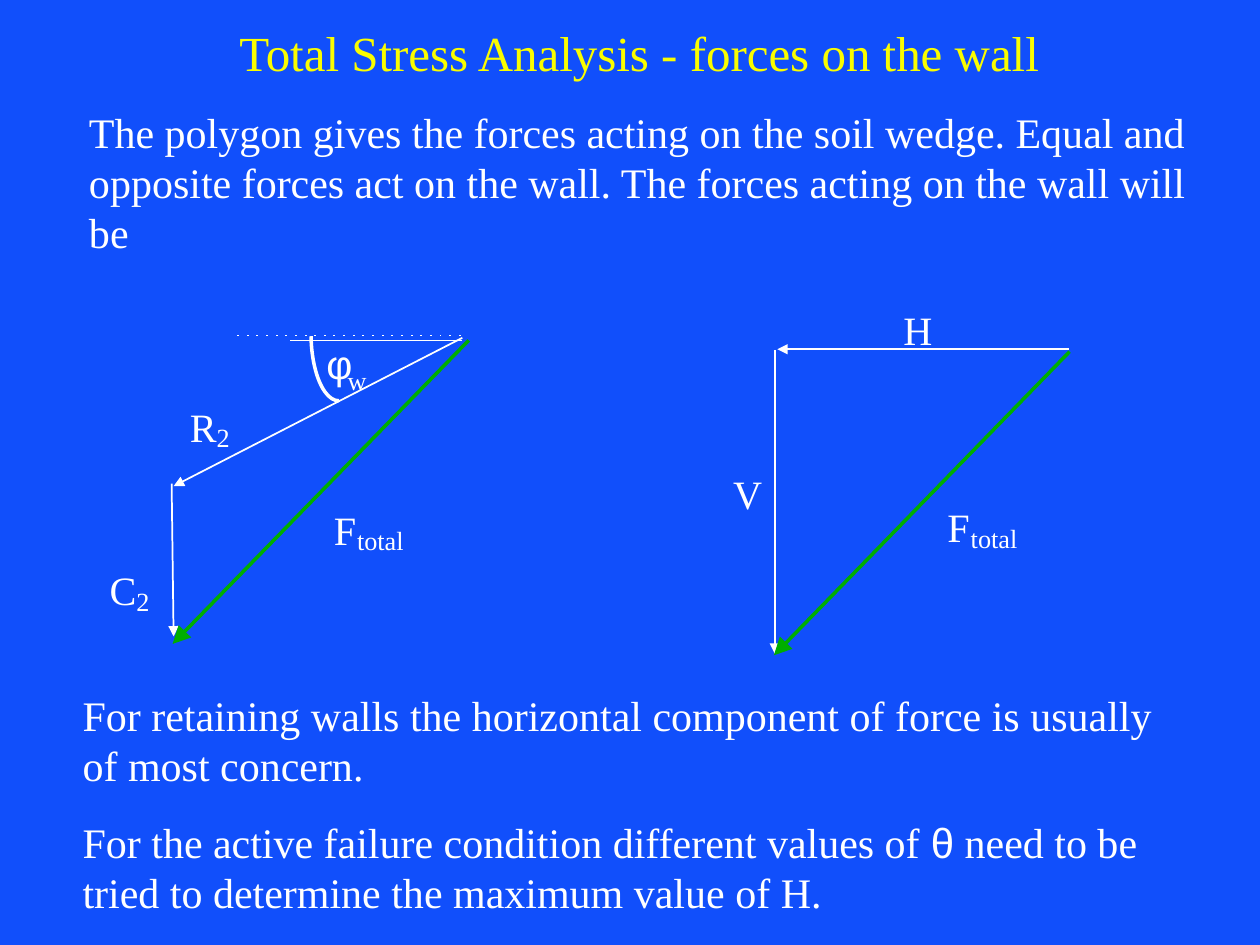
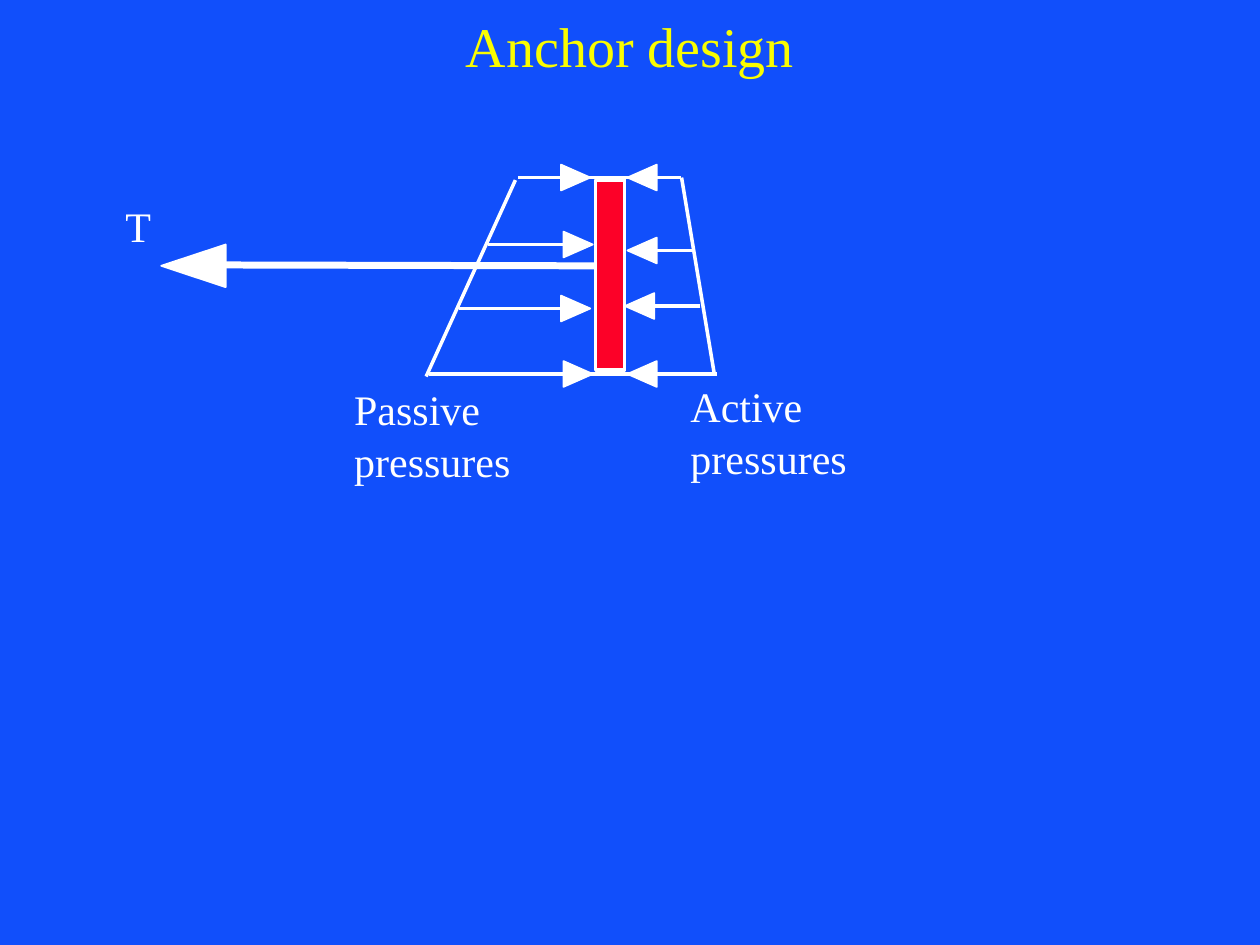
from dataclasses import dataclass

from lxml import etree
from pptx import Presentation
from pptx.dml.color import RGBColor
from pptx.enum.shapes import MSO_CONNECTOR, MSO_SHAPE
from pptx.enum.text import MSO_ANCHOR, MSO_AUTO_SIZE, PP_ALIGN
from pptx.oxml.ns import qn
from pptx.util import Cm, Pt

STRAIGHT = MSO_CONNECTOR.STRAIGHT
RECTANGLE = MSO_SHAPE.RECTANGLE
ARC = MSO_SHAPE.ARC
CENTER = PP_ALIGN.CENTER
LEFT = PP_ALIGN.LEFT
TOP = MSO_ANCHOR.TOP
MIDDLE = MSO_ANCHOR.MIDDLE
NO_AUTOFIT = MSO_AUTO_SIZE.NONE
TWO_CONTENT, TITLE_ONLY = 3, 5
ARC_UNITS_PER_DEGREE = 0.6


@dataclass(frozen=True)
class Theme:
    background: RGBColor = RGBColor(0x11, 0x4F, 0xFB)
    heading: RGBColor = RGBColor(0xFA, 0xFD, 0x00)
    ink: RGBColor = RGBColor(0xFF, 0xFF, 0xFF)
    resultant: RGBColor = RGBColor(0x00, 0xAE, 0x00)
    wall: RGBColor = RGBColor(0xFC, 0x01, 0x28)
    font: str = "Times New Roman"
    greek_font: str = "Arial"
    long_title: int = 28
    title: int = 32
    body: int = 24
    symbol: int = 23
    subscript: int = 15
    paragraph_gap: int = 15


@dataclass(frozen=True)
class Box:
    left: float
    top: float
    width: float = 0
    height: float = 0

    def point(self, x, y):
        return Cm(self.left + x), Cm(self.top + y)

    def frame(self):
        return {"left": Cm(self.left), "top": Cm(self.top),
                "width": Cm(self.width), "height": Cm(self.height)}


THEME = Theme()


def apply(target, formats):
    for name, value in formats.items():
        setattr(target, name, value)


def style_font(font, size, color=THEME.ink, name=THEME.font):
    apply(font, {"size": Pt(size), "name": name, "bold": False})
    font.color.rgb = color


def add_title(slide, box, text, size, anchor):
    title = slide.shapes.title
    apply(title, box.frame())
    apply(title.text_frame, {"text": text, "vertical_anchor": anchor,
                             "word_wrap": True, "auto_size": NO_AUTOFIT})
    paragraph = title.text_frame.paragraphs[0]
    paragraph.alignment = CENTER
    style_font(paragraph.runs[0].font, size, THEME.heading)


def add_body(placeholder, box, paragraphs):
    apply(placeholder, box.frame())
    frame = placeholder.text_frame
    apply(frame, {"vertical_anchor": TOP, "word_wrap": True, "auto_size": NO_AUTOFIT})
    for index, runs in enumerate(paragraphs):
        paragraph = frame.add_paragraph() if index else frame.paragraphs[0]
        properties = paragraph._p.get_or_add_pPr()
        properties.set("marL", "0")
        properties.set("indent", "0")
        etree.SubElement(properties, qn("a:buNone"))
        apply(paragraph, {"alignment": LEFT,
                          "space_before": Pt(THEME.paragraph_gap if index else 0)})
        for text, font_name in runs:
            run = paragraph.add_run()
            run.text = text
            style_font(run.font, THEME.body, name=font_name)


def add_label(slide, box, x, y, width, text, size=THEME.symbol, font_name=THEME.font):
    height = size * 0.0423 + 0.25
    label = slide.shapes.add_textbox(*box.point(x, y), Cm(width), Cm(height))
    apply(label.text_frame, {"text": text, "word_wrap": False})
    style_font(label.text_frame.paragraphs[0].runs[0].font, size, name=font_name)


def add_line(slide, box, start, end, width, color=THEME.ink, arrow=None):
    line = slide.shapes.add_connector(STRAIGHT, *box.point(*start), *box.point(*end))
    line.line.width = Pt(width)
    line.line.color.rgb = color
    if arrow:
        etree.SubElement(line.line._ln, qn("a:tailEnd"), type="triangle", w=arrow, len=arrow)
    etree.SubElement(line._element.spPr, qn("a:effectLst"))


def style_shape(shape, line_width=0, fill=None):
    shape.shadow.inherit = False
    if fill is None:
        shape.fill.background()
    else:
        shape.fill.solid()
        shape.fill.fore_color.rgb = fill
    if line_width:
        shape.line.color.rgb = THEME.ink
        shape.line.width = Pt(line_width)
    else:
        shape.line.fill.background()


def add_outline(slide, box, points, line_width=0):
    first, *others = [box.point(*point) for point in points]
    builder = slide.shapes.build_freeform(*first)
    builder.add_line_segments(others, close=True)
    style_shape(builder.convert_to_shape(), line_width, THEME.ink)


def add_arrowhead(slide, box, tip, length, half_height):
    x, y = tip
    base = x - length
    add_outline(slide, box, [tip, (base, y - half_height), (base, y + half_height)], 1)


def add_dotted_level(slide, box, first, last, y, count):
    pitch = (last - first) / (count - 1)
    for index in range(count):
        x = first + index * pitch
        add_outline(slide, box, [(x, y), (x + 0.04, y), (x + 0.04, y + 0.01), (x, y + 0.01)])


def draw_wedge_polygon(slide, box):
    add_line(slide, box, (7.82, 0.81), (2, 3.8), 1, arrow="med")
    add_line(slide, box, (1.96, 3.75), (2, 6.83), 1, arrow="med")
    add_line(slide, box, (7.95, 0.86), (1.98, 6.98), 2, THEME.resultant, "lg")
    add_dotted_level(slide, box, 3.28, 7.75, 0.76, 24)
    add_line(slide, box, (7.82, 0.85), (4.34, 0.85), 0.25)
    angle = slide.shapes.add_shape(ARC, *box.point(4.77, -0.64), Cm(1.12), Cm(2.72))
    for index, degrees in enumerate((90, 174)):
        angle.adjustments[index] = degrees * ARC_UNITS_PER_DEGREE
    style_shape(angle, 2)
    add_label(slide, box, 4.83, 0.71, 0.91, "φ", font_name=THEME.greek_font)
    add_label(slide, box, 5.26, 1.21, 0.89, "w", THEME.subscript)
    for x, y, letter in ((2.08, 1.98, "R"), (0.46, 5.28, "C")):
        add_label(slide, box, x, y, 1.04, letter)
        add_label(slide, box, x + 0.54, y + 0.39, 0.76, "2", THEME.subscript)
    add_total_force(slide, box, 4.98, 4.06)


def draw_components(slide, box):
    add_line(slide, box, (7.54, 1.04), (1.67, 1.04), 1, arrow="med")
    add_line(slide, box, (1.62, 1.06), (1.62, 7.18), 1, arrow="med")
    add_line(slide, box, (7.56, 1.09), (1.6, 7.21), 2, THEME.resultant, "lg")
    add_label(slide, box, 0.53, 3.34, 1.09, "V")
    add_label(slide, box, 3.96, 0.02, 1.09, "H")
    add_total_force(slide, box, 4.85, 4.01)


def add_total_force(slide, box, x, y):
    add_label(slide, box, x, y, 0.97, "F")
    add_label(slide, box, x + 0.47, y + 0.39, 1.45, "total", THEME.subscript)


def draw_anchor(slide, box):
    wall = slide.shapes.add_shape(RECTANGLE, *box.point(10.01, 0.63), Cm(0.58), Cm(3.83))
    style_shape(wall, 2, THEME.wall)
    add_line(slide, box, (10.01, 2.36), (2.01, 2.34), 4)
    add_arrowhead(slide, box, (1.25, 2.36), -1.3, 0.43)

    pressure_outline = [((8.44, 0.58), (11.72, 0.58)), ((6.64, 4.54), (12.45, 4.54)),
                        ((8.39, 0.63), (6.59, 4.59)), ((11.74, 0.58), (12.4, 4.54))]
    for start, end in pressure_outline:
        add_line(slide, box, start, end, 2)

    passive = [(9.46, 0.58, 9.9), (7.83, 1.93, 9.95), (7.25, 3.22, 9.9), (9.18, 4.54, 9.95)]
    active = [(11.13, 0.58, 10.65), (12.02, 2.05, 10.65),
              (12.12, 3.17, 10.6), (11.51, 4.54, 10.65)]
    for arrows, shaft_end, length in ((passive, 9.51, 0.59), (active, 11.08, -0.59)):
        for x, y, tip in arrows:
            add_line(slide, box, (x, y), (shaft_end, y), 2)
            add_arrowhead(slide, box, (tip, y), length, 0.26)

    for x, y, width, side in ((4.89, 4.61, 3.05, "Passive"), (11.67, 4.54, 2.77, "Active")):
        add_label(slide, box, x, y, width, side, THEME.body)
        add_label(slide, box, x, y + 1.05, 3.66, "pressures", THEME.body)
    add_label(slide, box, 0.28, 0.91, 1.93, "T", THEME.body)


def build_wall_forces(presentation):
    slide = presentation.slides.add_slide(presentation.slide_layouts[TWO_CONTENT])
    add_title(slide, Box(3.13, 0.33, 19.51, 1.42),
              "Total Stress Analysis - forces on the wall", THEME.long_title, TOP)
    add_body(slide.placeholders[1], Box(1.54, 2.01, 22.91, 3.3), [
        [("The polygon gives the forces acting on the soil wedge. Equal and opposite "
          "forces act on the wall. The forces acting on the wall will be", THEME.font)],
    ])
    add_body(slide.placeholders[2], Box(1.41, 13.77, 22.94, 4.85), [
        [("For retaining walls the horizontal component of force is usually of most "
          "concern.", THEME.font)],
        [("For the active failure condition different values of ", THEME.font),
         ("θ", THEME.greek_font),
         (" need to be tried to determine the maximum value of H.", THEME.font)],
    ])
    draw_wedge_polygon(slide, Box(1.5, 6))
    draw_components(slide, Box(14, 6))


def build_anchor_design(presentation):
    slide = presentation.slides.add_slide(presentation.slide_layouts[TITLE_ONLY])
    add_title(slide, Box(1.9, 0, 21.6, 1.8), "Anchor design", THEME.title, MIDDLE)
    draw_anchor(slide, Box(2, 3))


def main():
    presentation = Presentation()
    apply(presentation, {"slide_width": Cm(25.4), "slide_height": Cm(19.05)})
    fill = presentation.slide_master.background.fill
    fill.solid()
    fill.fore_color.rgb = THEME.background
    build_wall_forces(presentation)
    build_anchor_design(presentation)
    presentation.save("out.pptx")


if __name__ == "__main__":
    main()
